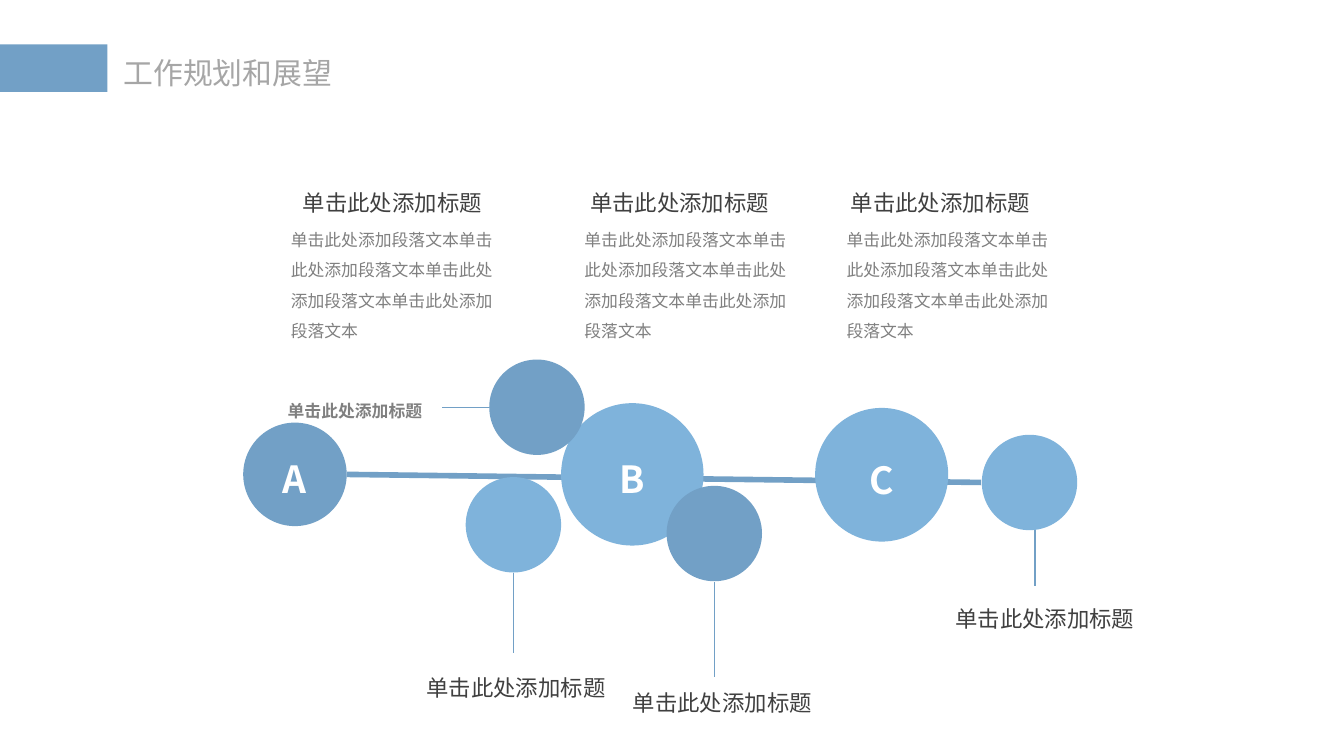
from dataclasses import dataclass

from lxml import etree
from pptx import Presentation
from pptx.dml.color import RGBColor
from pptx.enum import shapes as sh, text as tx
from pptx.oxml import ns
from pptx import util as u

PX = 4572  # 200 px to the inch
HEAD = "单击此处添加标题"
BODY = "单击此处添加段落文本" * 4


@dataclass(frozen=True)
class Theme:
    font: str = "Noto Sans CJK SC"
    dark: str = "72A0C6"
    light: str = "7FB3DB"
    title: str = "A6A6A6"
    head: str = "404040"
    body: str = "808080"
    white: str = "FFFFFF"
    title_pt: int = 16
    head_pt: int = 12
    body_pt: int = 9
    mark_pt: int = 20
    thin_pt: float = 0.75
    thick_pt: int = 3


T = Theme()


def emu(*vals):
    return [u.Emu(v * PX) for v in vals]


def rgb(hue):
    return RGBColor.from_string(hue)


def write(shape, words, size, hue, bold=False, space=1.2, center=True,
          inset=(15, 8), anchor=tx.MSO_ANCHOR.TOP, wrap=True):
    """Set the words of a shape and format its one run."""
    frame = shape.text_frame
    frame.text = words
    frame.word_wrap = wrap
    frame.vertical_anchor = anchor
    frame.margin_left = frame.margin_right = emu(inset[0])[0]
    frame.margin_top = frame.margin_bottom = emu(inset[1])[0]
    para = frame.paragraphs[0]
    para.alignment = tx.PP_ALIGN.CENTER if center else tx.PP_ALIGN.LEFT
    para.line_spacing = space
    font = para.runs[0].font
    font.size, font.bold, font.name = u.Pt(size), bold, T.font
    font.color.rgb = rgb(hue)
    # East Asian typeface
    etree.SubElement(font._element, ns.qn("a:ea"), typeface=T.font)


def label(parts, box, words, size, hue, **style):
    item = parts.add_textbox(*emu(*box))
    write(item, words, size, hue, **style)
    item.text_frame.auto_size = tx.MSO_AUTO_SIZE.SHAPE_TO_FIT_TEXT


def block(parts, kind, box, hue):
    item = parts.add_shape(kind, *emu(*box))
    item.shadow.inherit = False
    item.fill.solid()
    item.fill.fore_color.rgb = rgb(hue)
    item.line.fill.background()
    return item


def circle(parts, box, hue, mark=""):
    item = block(parts, sh.MSO_SHAPE.OVAL, box, hue)
    if mark:
        write(item, mark, T.mark_pt, T.white, bold=True,
              anchor=tx.MSO_ANCHOR.MIDDLE)


def line(parts, ends, width):
    item = parts.add_connector(sh.MSO_CONNECTOR.STRAIGHT, *emu(*ends))
    item.line.color.rgb = rgb(T.dark)
    item.line.width = u.Pt(width)
    etree.SubElement(item._element.spPr, ns.qn("a:effectLst"))


def header(slide, x, y):
    """Colour bar and slide title."""
    block(slide.shapes, sh.MSO_SHAPE.RECTANGLE, (x, y, 160, 71), T.dark)
    title = slide.shapes.title
    title.left, title.top, title.width, title.height = emu(x + 167, y + 7, 344, 70)
    write(title, "工作规划和展望", T.title_pt, T.title, space=1.0, wrap=False)
    title.text_frame.auto_size = tx.MSO_AUTO_SIZE.SHAPE_TO_FIT_TEXT


def column(slide, x, y, head_w, body_w):
    """Heading above a paragraph, as one group."""
    parts = slide.shapes.add_group_shape().shapes
    label(parts, (x, y, head_w, 68), HEAD, T.head_pt, T.head, inset=(20, 10))
    label(parts, (x, y + 53, body_w, 202), BODY, T.body_pt, T.body,
          space=1.5, center=False, inset=(20, 10))


def chain(slide, x, y):
    """Circles along a line, with labelled leaders."""
    parts = slide.shapes
    # Leaders behind the circles
    for x1, y1, x2, y2 in ((366, 71, 296, 71), (1178, 253, 1178, 337),
                           (402, 317, 402, 437), (701, 331, 701, 472)):
        line(parts, (x + x1, y + y1, x + x2, y + y2), T.thin_pt)
    # Main line and lettered circles
    line(parts, (x + 154, y + 171, x + 1098, y + 183), T.thick_pt)
    for mark, dx, dy, w, h, hue in (("A", 0, 94, 154, 154, T.dark),
                                    ("B", 473, 65, 212, 212, T.light),
                                    ("C", 851, 72, 198, 199, T.light)):
        circle(parts, (x + dx, y + dy, w, h), hue, mark)
    # Small circles
    for dx, dy, hue in ((1099, 112, T.light), (366, 0, T.dark),
                        (331, 175, T.light), (630, 188, T.dark)):
        circle(parts, (x + dx, y + dy, 142, 142), hue)
    # Labels at the leader ends
    label(parts, (x + 24, y + 47, 284, 52), HEAD, T.body_pt, T.body, bold=True)
    for dx, dy in ((221, 452), (528, 474), (1008, 350)):
        label(parts, (x + dx, y + dy, 370, 64), HEAD, T.head_pt, T.head)


def main():
    deck = Presentation()
    deck.slide_width, deck.slide_height = emu(2000, 1125)
    slide = deck.slides.add_slide(deck.slide_layouts[5])
    header(slide, 0, 66)
    chain(slide, 362, 535)
    for x, head_w, body_w in ((413, 342, 358), (850, 323, 346), (1240, 319, 358)):
        column(slide, x, 264, head_w, body_w)
    deck.save("out.pptx")


if __name__ == "__main__":
    main()
